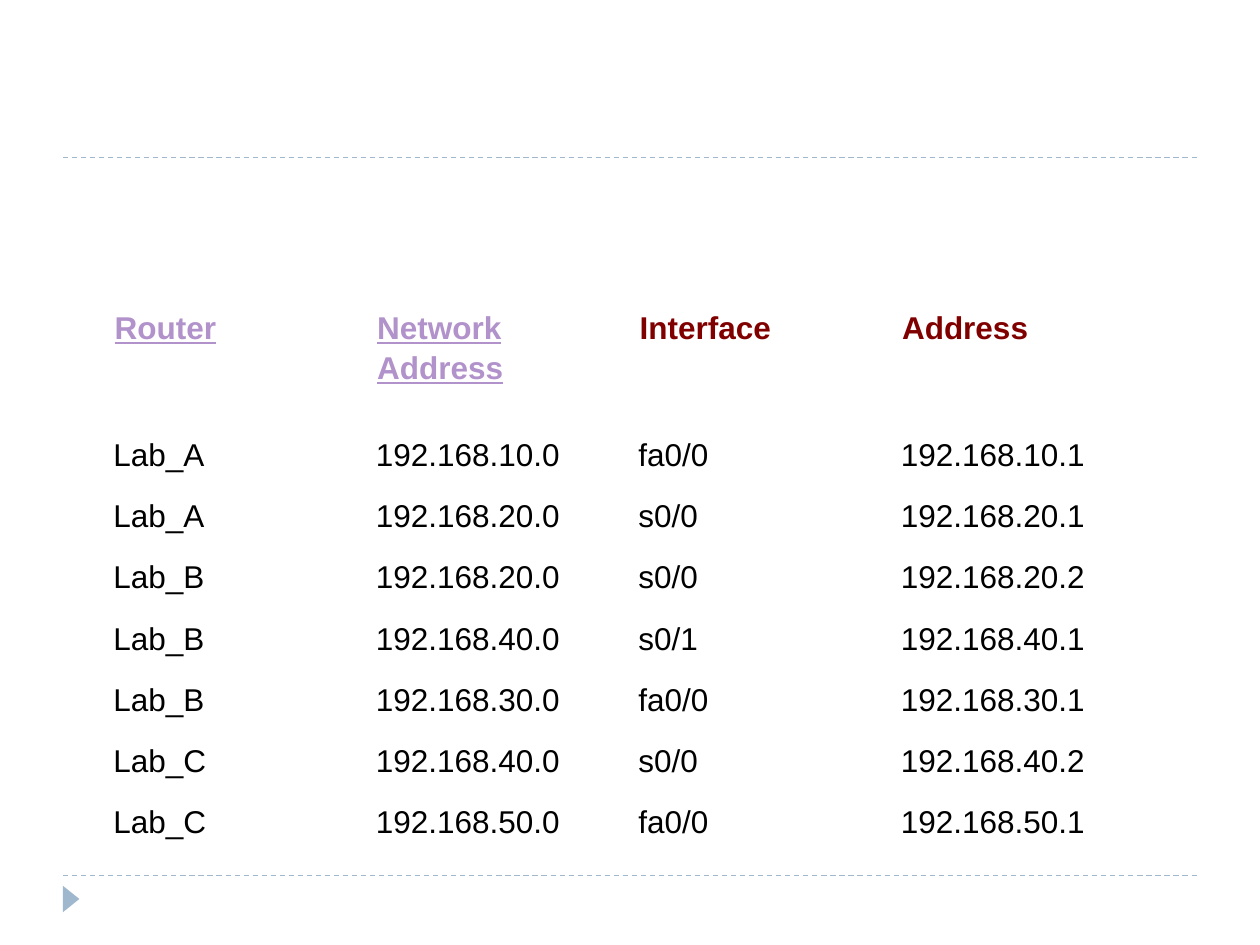
from lxml.etree import SubElement
from pptx import Presentation
from pptx.dml.color import RGBColor
from pptx.enum.dml import MSO_LINE
from pptx.enum.shapes import MSO_CONNECTOR, MSO_SHAPE
from pptx.oxml.ns import qn
from pptx.util import Pt

WHITE = RGBColor(0xFF, 0xFF, 0xFF)
BLACK = RGBColor(0, 0, 0)
MAROON = RGBColor(0x80, 0, 0)
LILAC = RGBColor(0xB2, 0x92, 0xCA)
STEEL = RGBColor(0x9F, 0xB8, 0xCD)

FONT = "Arial"
NO_GRID_STYLE = "{2D5ABB26-0587-4C30-8999-92F81FD0307C}"

HEADERS = [
    ("Router", True),
    ("Network Address", True),
    ("Interface", False),
    ("Address", False),
]
INTERFACES = [
    ("Lab_A", "192.168.10.0", "fa0/0", "192.168.10.1"),
    ("Lab_A", "192.168.20.0", "s0/0", "192.168.20.1"),
    ("Lab_B", "192.168.20.0", "s0/0", "192.168.20.2"),
    ("Lab_B", "192.168.40.0", "s0/1", "192.168.40.1"),
    ("Lab_B", "192.168.30.0", "fa0/0", "192.168.30.1"),
    ("Lab_C", "192.168.40.0", "s0/0", "192.168.40.2"),
    ("Lab_C", "192.168.50.0", "fa0/0", "192.168.50.1"),
]
RULE_TOPS = (500.4, 90)
ROW_HEIGHTS = [39, 73.5] + [35] * len(INTERFACES)
COLUMN_WIDTH = 150


def add_rule(slide, top):
    rule = slide.shapes.add_connector(
        MSO_CONNECTOR.STRAIGHT, Pt(36), Pt(top), Pt(684), Pt(top))
    rule.line.color.rgb = STEEL
    rule.line.width = Pt(0.75)
    rule.line.dash_style = MSO_LINE.DASH
    SubElement(rule._element.spPr, qn("a:effectLst"))


def add_marker(slide):
    marker = slide.shapes.add_shape(
        MSO_SHAPE.ISOSCELES_TRIANGLE, Pt(33.1), Pt(509), Pt(15.1), Pt(9.4))
    marker.rotation = 90
    marker.shadow.inherit = False
    marker.fill.solid()
    marker.fill.fore_color.rgb = STEEL
    marker.line.fill.background()


def fill_white(cell):
    cell.fill.solid()
    cell.fill.fore_color.rgb = WHITE


def write_cell(cell, text, color, inset=0, bold=False, underline=False):
    cell.margin_left = cell.margin_right = Pt(inset)
    cell.margin_top = cell.margin_bottom = Pt(inset)
    paragraph = cell.text_frame.paragraphs[0]
    paragraph.text = text
    paragraph.line_spacing = 1.15
    paragraph.space_before = Pt(4.8)
    properties = paragraph._p.get_or_add_pPr()
    properties.set("marL", str(Pt(14.4)))
    properties.set("indent", "0")
    font = paragraph.runs[0].font
    font.name = FONT
    font.size = Pt(18)
    font.color.rgb = color
    font.bold = bold
    font.underline = underline


def add_address_table(slide):
    table = slide.shapes.add_table(
        len(ROW_HEIGHTS), len(HEADERS), Pt(50.4), Pt(134.8),
        Pt(COLUMN_WIDTH * len(HEADERS)), Pt(sum(ROW_HEIGHTS))).table
    table.first_row = False
    table.horz_banding = False
    table._tbl.tblPr.find(qn("a:tableStyleId")).text = NO_GRID_STYLE
    for column in table.columns:
        column.width = Pt(COLUMN_WIDTH)
    for row, height in zip(table.rows, ROW_HEIGHTS):
        row.height = Pt(height)

    title = table.cell(0, 0)
    title.merge(table.cell(0, len(HEADERS) - 1))
    fill_white(title)
    for column, (text, linked) in enumerate(HEADERS):
        cell = table.cell(1, column)
        fill_white(cell)
        write_cell(cell, text, LILAC if linked else MAROON,
                   inset=0.75, bold=True, underline=linked)
    for row, values in enumerate(INTERFACES, start=2):
        for column, value in enumerate(values):
            cell = table.cell(row, column)
            cell.fill.background()
            write_cell(cell, value, BLACK)


def main():
    presentation = Presentation()
    presentation.slide_width = Pt(720)
    presentation.slide_height = Pt(540)
    slide = presentation.slides.add_slide(presentation.slide_layouts[6])
    for top in RULE_TOPS:
        add_rule(slide, top)
    add_marker(slide)
    add_address_table(slide)
    presentation.save("out.pptx")


if __name__ == "__main__":
    main()
